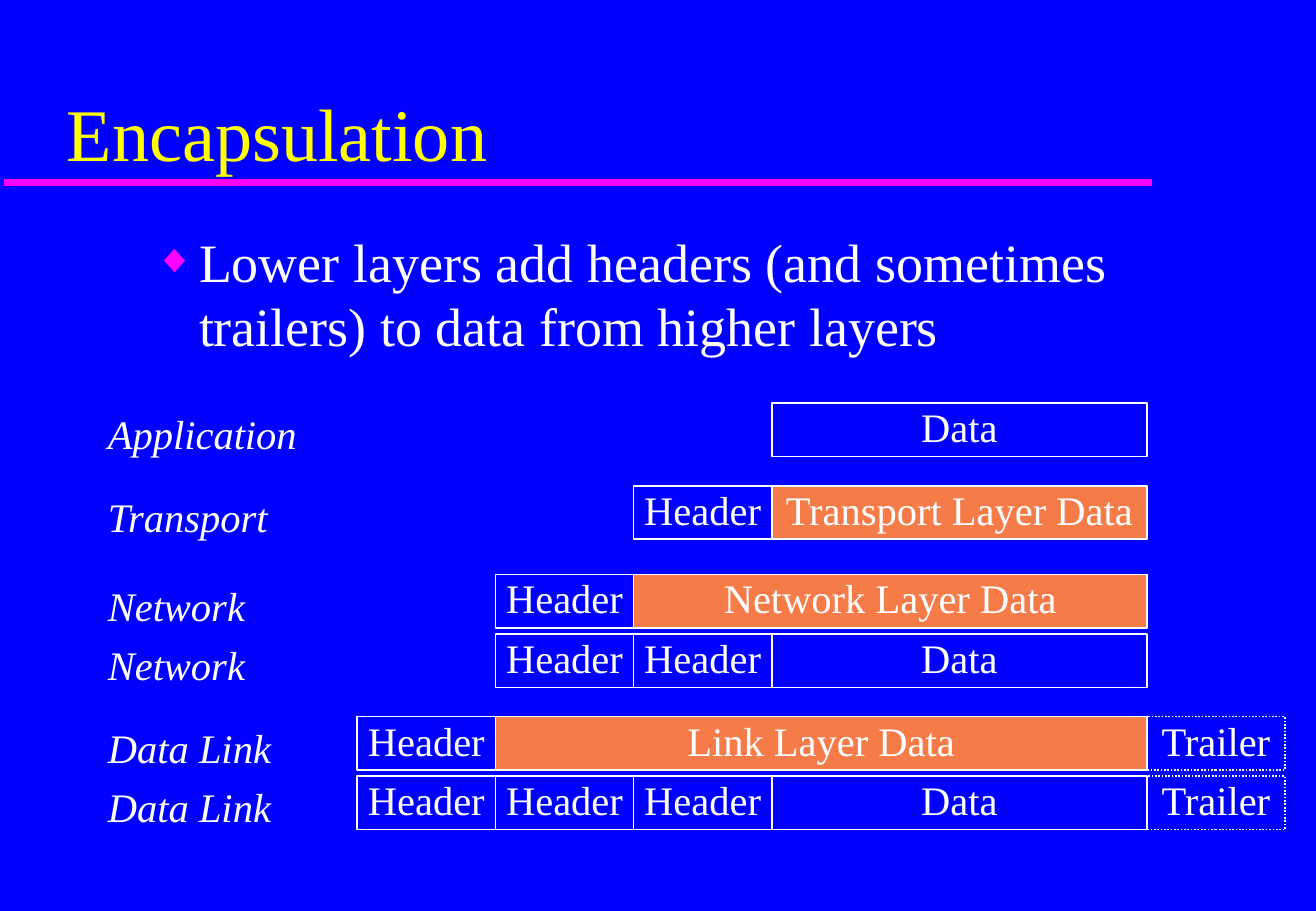
"""Build the Encapsulation slide: layer data wrapped in headers and trailers."""
from dataclasses import dataclass

import lxml.etree
import pptx
import pptx.dml.color
import pptx.enum.dml
import pptx.enum.shapes
import pptx.enum.text
import pptx.oxml.ns
import pptx.slide
import pptx.text.text
import pptx.util

WIDTH, HEIGHT = pptx.util.Inches(10.83), pptx.util.Inches(7.5)
FONT = "Times New Roman"
BLUE, YELLOW, WHITE = "0000FF", "FFFF00", "FFFFFF"
MAGENTA, ORANGE = "FF00FF", "F57B49"
LEFT = pptx.enum.text.PP_ALIGN.LEFT
CENTER = pptx.enum.text.PP_ALIGN.CENTER
DATA_COL, TRAILER_COL, END_COL = 3, 4, 5


@dataclass(frozen=True)
class Cell:
    text: str
    start: int
    end: int
    fill: str | None = None
    dotted: bool = False


@dataclass(frozen=True)
class Layer:
    name: str
    top: float
    cells: tuple[Cell, ...]


def headers(first: int, last: int = DATA_COL) -> tuple[Cell, ...]:
    return tuple(Cell("Header", n, n + 1) for n in range(first, last))


DATA = Cell("Data", DATA_COL, TRAILER_COL)
TRAILER = Cell("Trailer", TRAILER_COL, END_COL, dotted=True)


def payload(text: str, start: int) -> Cell:
    return Cell(text, start, TRAILER_COL, ORANGE)


LAYERS = (
    Layer("Application", 44.27, (DATA,)),
    Layer("Transport", 53.33, (*headers(2), payload("Transport Layer Data", 3))),
    Layer("Network", 63.07, (*headers(1, 2), payload("Network Layer Data", 2))),
    Layer("Network", 69.6, (*headers(1), DATA)),
    Layer("Data Link", 78.67, (*headers(0, 1), payload("Link Layer Data", 1), TRAILER)),
    Layer("Data Link", 85.2, (*headers(0), DATA, TRAILER)),
)


def x(percent: float) -> int:
    return round(WIDTH * percent / 100)


def y(percent: float) -> int:
    return round(HEIGHT * percent / 100)


def column(n: int) -> int:
    return x(27.15 + 10.5 * n + (18 if n > DATA_COL else 0))


def color(value: str) -> pptx.dml.color.RGBColor:
    return pptx.dml.color.RGBColor.from_string(value)


def write(tf: pptx.text.text.TextFrame, text: str, size: int, ink: str = WHITE,
          align: pptx.enum.text.PP_ALIGN = LEFT, italic: bool = False) -> None:
    tf.text = text
    tf.word_wrap = True
    tf.auto_size = pptx.enum.text.MSO_AUTO_SIZE.NONE
    p = tf.paragraphs[0]
    p.alignment = align
    font = p.runs[0].font
    font.name, font.size, font.italic = FONT, pptx.util.Pt(size), italic
    font.color.rgb = color(ink)


def add_bullet(p: pptx.text.text._Paragraph) -> None:
    pPr = p._p.get_or_add_pPr()
    indent = pptx.util.Inches(0.37)
    pPr.set("marL", str(indent))
    pPr.set("indent", str(-indent))
    qn = pptx.oxml.ns.qn
    clr = lxml.etree.SubElement(pPr, qn("a:buClr"))
    lxml.etree.SubElement(clr, qn("a:srgbClr"), val=MAGENTA)
    lxml.etree.SubElement(pPr, qn("a:buSzPct"), val="75000")
    lxml.etree.SubElement(pPr, qn("a:buFont"), typeface=FONT)
    lxml.etree.SubElement(pPr, qn("a:buChar"), char="◆")


def add_title(s: pptx.slide.Slide) -> None:
    title = s.shapes.title
    title.left, title.top, title.width, title.height = x(4.16), y(3.87), x(84.95), y(16.13)
    write(title.text_frame, "Encapsulation", 44, YELLOW)
    title.text_frame.vertical_anchor = pptx.enum.text.MSO_ANCHOR.BOTTOM
    rule = s.shapes.add_connector(
        pptx.enum.shapes.MSO_CONNECTOR.STRAIGHT, x(0.28), y(20), x(87.53), y(20))
    rule.line.color.rgb = color(MAGENTA)
    rule.line.width = pptx.util.Pt(4)
    lxml.etree.SubElement(rule._element.spPr, pptx.oxml.ns.qn("a:effectLst"))


def add_body(s: pptx.slide.Slide) -> None:
    tf = s.shapes.add_textbox(x(10.8), y(24.4), x(84.49), y(60)).text_frame
    write(tf, "Lower layers add headers (and sometimes trailers) "
              "to data from higher layers", 32)
    add_bullet(tf.paragraphs[0])


def add_cell(s: pptx.slide.Slide, cell: Cell, top: float) -> None:
    left = column(cell.start)
    sp = s.shapes.add_shape(pptx.enum.shapes.MSO_SHAPE.RECTANGLE, left, y(top),
                            column(cell.end) - left, y(5.87))
    sp.shadow.inherit = False
    if cell.fill:
        sp.fill.solid()
        sp.fill.fore_color.rgb = color(cell.fill)
    else:
        sp.fill.background()
    sp.line.color.rgb = color(WHITE)
    sp.line.width = pptx.util.Pt(1)
    if cell.dotted:
        sp.line.dash_style = pptx.enum.dml.MSO_LINE.ROUND_DOT
    tf = sp.text_frame
    write(tf, cell.text, 24, align=CENTER)
    tf.vertical_anchor = pptx.enum.text.MSO_ANCHOR.BOTTOM
    tf.margin_left = tf.margin_right = tf.margin_bottom = pptx.util.Inches(0.05)
    tf.margin_top = 0


def add_layer(s: pptx.slide.Slide, layer: Layer) -> None:
    label = s.shapes.add_textbox(x(7.29), y(layer.top), x(17.5), y(6.67))
    write(label.text_frame, layer.name, 24, italic=True)
    for cell in layer.cells:
        add_cell(s, cell, layer.top)


def main() -> None:
    prs = pptx.Presentation()
    prs.slide_width, prs.slide_height = WIDTH, HEIGHT
    s = prs.slides.add_slide(prs.slide_layouts.get_by_name("Title Only"))
    s.background.fill.solid()
    s.background.fill.fore_color.rgb = color(BLUE)
    add_title(s)
    add_body(s)
    for layer in LAYERS:
        add_layer(s, layer)
    prs.save("out.pptx")


if __name__ == "__main__":
    main()
